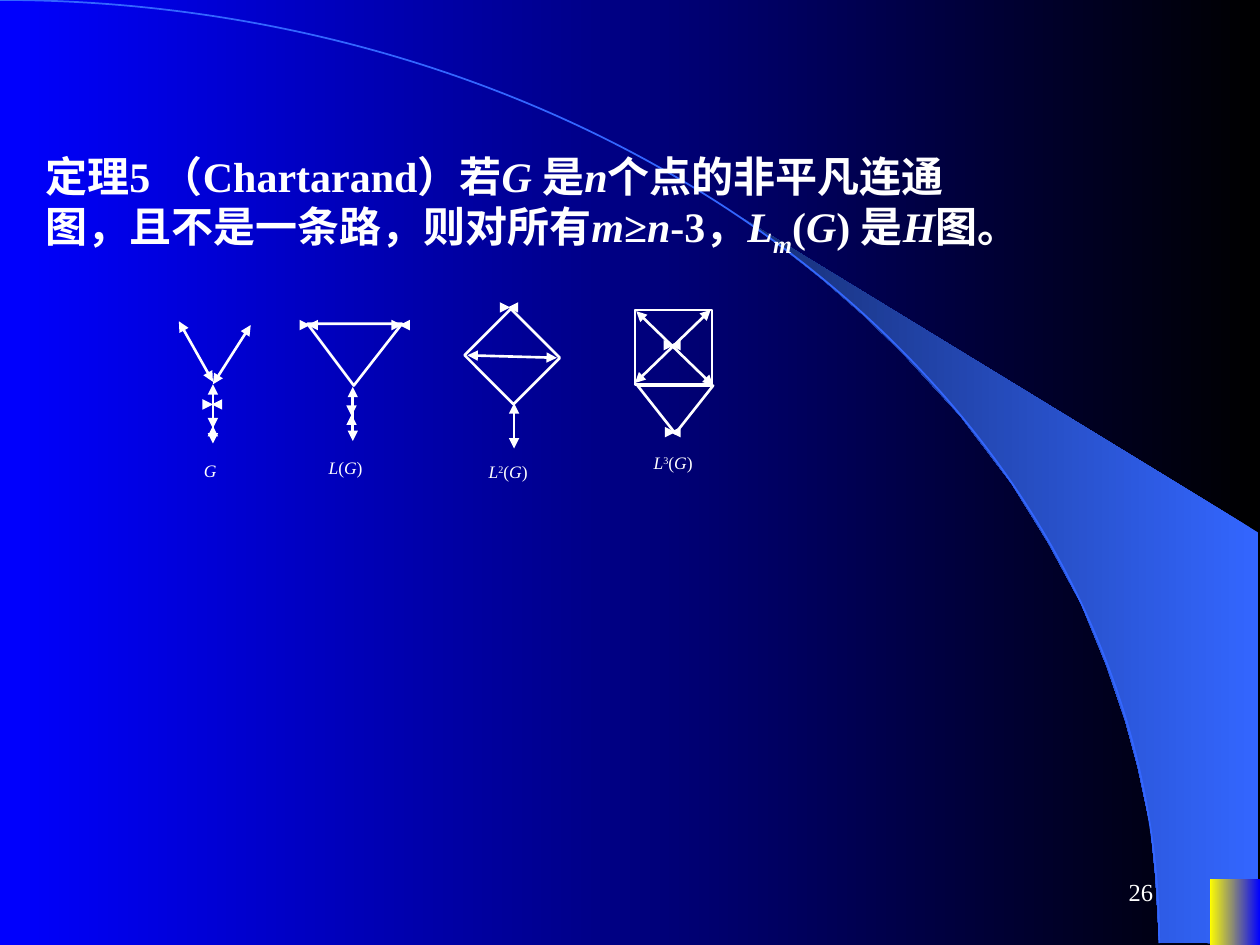
"""Build the slide on Chartrand's theorem about iterated line graphs."""
from pptx import Presentation
from pptx import util as u
from pptx.dml.color import RGBColor
from pptx.enum import shapes, text
from pptx.oxml.ns import qn
from pptx.oxml.xmlchemy import OxmlElement

COLORS = {"white": "FFFFFF", "black": "000000", "blue": "0000FF",
          "yellow": "FFFF00", "sky": "3366FF", "navy": "172F75"}
FONT = "Times New Roman"
BASELINE = {"sub": "-25000", "sup": "30000"}
KIND = shapes.MSO_SHAPE

THEOREM = [
    [("定理5 （Chartarand）若", ""), ("G ", "i"), ("是", ""), ("n", "i"),
     ("个点的非平凡连通", "")],
    [("图，且不是一条路，则对所有", ""), ("m", "i"), ("≥", ""), ("n", "i"),
     ("-3，", ""), ("L", "i"), ("m", "i sub"), ("(", ""), ("G", "i"),
     (") 是", ""), ("H", "i"), ("图。", "")],
]
ARGUMENT = [("(", ""), ("G", "i"), (")", "")]
LABELS = [
    ((1.52, 3.6, 0.36, 0.3), [("G", "i")]),
    ((2.51, 3.58, 0.59, 0.31), [("L", "i")] + ARGUMENT),
    ((3.78, 3.61, 0.67, 0.28), [("L", "i"), ("2", "sup")] + ARGUMENT),
    ((5.09, 3.54, 0.67, 0.28), [("L", "i"), ("3", "sup")] + ARGUMENT),
]
CYCLES = [
    (KIND.ISOSCELES_TRIANGLE, (2.44, 2.57, 0.75, 0.49), 180, 0.51),
    (KIND.RECTANGLE, (3.79, 2.57, 0.55, 0.52), 45, None),
    (KIND.RECTANGLE, (5.04, 2.46, 0.61, 0.59), 180, None),
    (KIND.ISOSCELES_TRIANGLE, (5.06, 3.06, 0.6, 0.38), 180, 0.5),
]
EDGES = [
    (1.42, 2.55, 1.69, 3.03), (1.69, 3.05, 1.99, 2.58),
    (1.69, 3.05, 1.69, 3.52), (2.8, 3.07, 2.8, 3.5),
    (3.71, 2.82, 4.42, 2.84), (4.08, 3.2, 4.08, 3.56),
    (5.66, 3.06, 5.05, 2.47), (5.64, 2.46, 5.04, 3.04),
]
VERTICES = [
    (1.68, 3.21, 1.69, 3.21), (1.69, 3.4, 1.69, 3.38),
    (2.44, 2.58, 2.46, 2.58), (3.17, 2.58, 3.19, 2.58),
    (2.79, 3.3, 2.79, 3.29), (4.03, 2.44, 4.05, 2.44),
    (5.32, 2.74, 5.35, 2.74), (5.32, 3.43, 5.36, 3.43),
]
SWOOSH = [
    (9.2, 7.48), (9.99, 7.49), (9.99, 4.23), (5.89, 1.73), (6.24, 1.99),
    (6.53, 2.22), (6.85, 2.5), (7.16, 2.8), (7.62, 3.3), (8.03, 3.84),
    (8.32, 4.31), (8.58, 4.79), (8.78, 5.28), (8.93, 5.72), (9.03, 6.09),
    (9.13, 6.56), (9.17, 6.96),
]


def lengths(inches):
    return [u.Cm(value * 2.54) for value in inches]


def rgb(name):
    return RGBColor.from_string(COLORS[name])


def fade(fill, first, last):
    fill.gradient()
    fill.gradient_angle = 180
    for stop, name in zip(fill.gradient_stops, (first, last)):
        stop.color.rgb = rgb(name)


def stroke(line, name, width):
    line.color.rgb = rgb(name)
    line.width = u.Pt(width)


def write(paragraph, pieces, size, bold=False):
    for words, style in pieces:
        run = paragraph.add_run()
        run.text = words
        run.font.name, run.font.size = FONT, u.Pt(size)
        run.font.color.rgb = rgb("white")
        run.font.bold, run.font.italic = bold, "i" in style.split()
        for mark in BASELINE.keys() & set(style.split()):
            run.font._element.set("baseline", BASELINE[mark])


def add_label(slide, box, pieces, size, align, anchor):
    frame = slide.shapes.add_textbox(*lengths(box)).text_frame
    frame.word_wrap = True
    frame.vertical_anchor = anchor
    frame.paragraphs[0].alignment = align
    write(frame.paragraphs[0], pieces, size)


def add_outline(slide, kind, box, color, width):
    outline = slide.shapes.add_shape(kind, *lengths(box))
    outline.shadow.inherit = False
    outline.fill.background()
    stroke(outline.line, color, width)
    return outline


def add_edge(slide, ends):
    edge = slide.shapes.add_connector(shapes.MSO_CONNECTOR.STRAIGHT, *lengths(ends))
    stroke(edge.line, "white", 1.5)
    properties = edge.element.spPr
    for tag in ("a:headEnd", "a:tailEnd"):
        arrow = OxmlElement(tag)
        arrow.set("type", "triangle")
        properties.find(qn("a:ln")).append(arrow)
    properties.append(OxmlElement("a:effectLst"))


def add_backdrop(slide):
    fade(slide.background.fill, "black", "blue")
    start, *rest = [lengths(point) for point in SWOOSH]
    builder = slide.shapes.build_freeform(*start)
    builder.add_line_segments(rest, close=True)
    swoosh = builder.convert_to_shape()
    corner = slide.shapes.add_shape(KIND.RECTANGLE, *lengths((9.6, 6.98, 0.4, 0.52)))
    for part, first, last in ((swoosh, "sky", "navy"), (corner, "blue", "yellow")):
        part.shadow.inherit = False
        part.line.fill.background()
        fade(part.fill, first, last)
    add_outline(slide, KIND.ARC, (-9.2, 0, 18.4, 14.97), "sky", 1)


def add_theorem(slide):
    theorem = slide.shapes.title
    theorem.left, theorem.top, theorem.width, theorem.height = lengths(
        (0.26, 1.14, 8.41, 0.96))
    theorem.element.getparent().append(theorem.element)
    frame = theorem.text_frame
    frame.word_wrap = False
    frame.auto_size = text.MSO_AUTO_SIZE.SHAPE_TO_FIT_TEXT
    frame.vertical_anchor = text.MSO_ANCHOR.MIDDLE
    frame.text = "\n" * (len(THEOREM) - 1)
    for paragraph, pieces in zip(frame.paragraphs, THEOREM):
        paragraph.alignment = text.PP_ALIGN.LEFT
        write(paragraph, pieces, 24, bold=True)


def main():
    deck = Presentation()
    deck.slide_width, deck.slide_height = lengths((10, 7.5))
    slide = deck.slides.add_slide(deck.slide_layouts[5])
    add_backdrop(slide)
    add_theorem(slide)
    for kind, box, turn, apex in CYCLES:
        cycle = add_outline(slide, kind, box, "white", 1.5)
        cycle.rotation = turn
        if apex is not None:
            cycle.adjustments[0] = apex
    for ends in EDGES + VERTICES:
        add_edge(slide, ends)
    for box, pieces in LABELS:
        add_label(slide, box, pieces, 10, text.PP_ALIGN.JUSTIFY, text.MSO_ANCHOR.TOP)
    add_label(slide, (7.17, 6.83, 2.08, 0.5), [("26", "")], 14,
              text.PP_ALIGN.RIGHT, text.MSO_ANCHOR.MIDDLE)
    deck.save("out.pptx")


if __name__ == "__main__":
    main()
